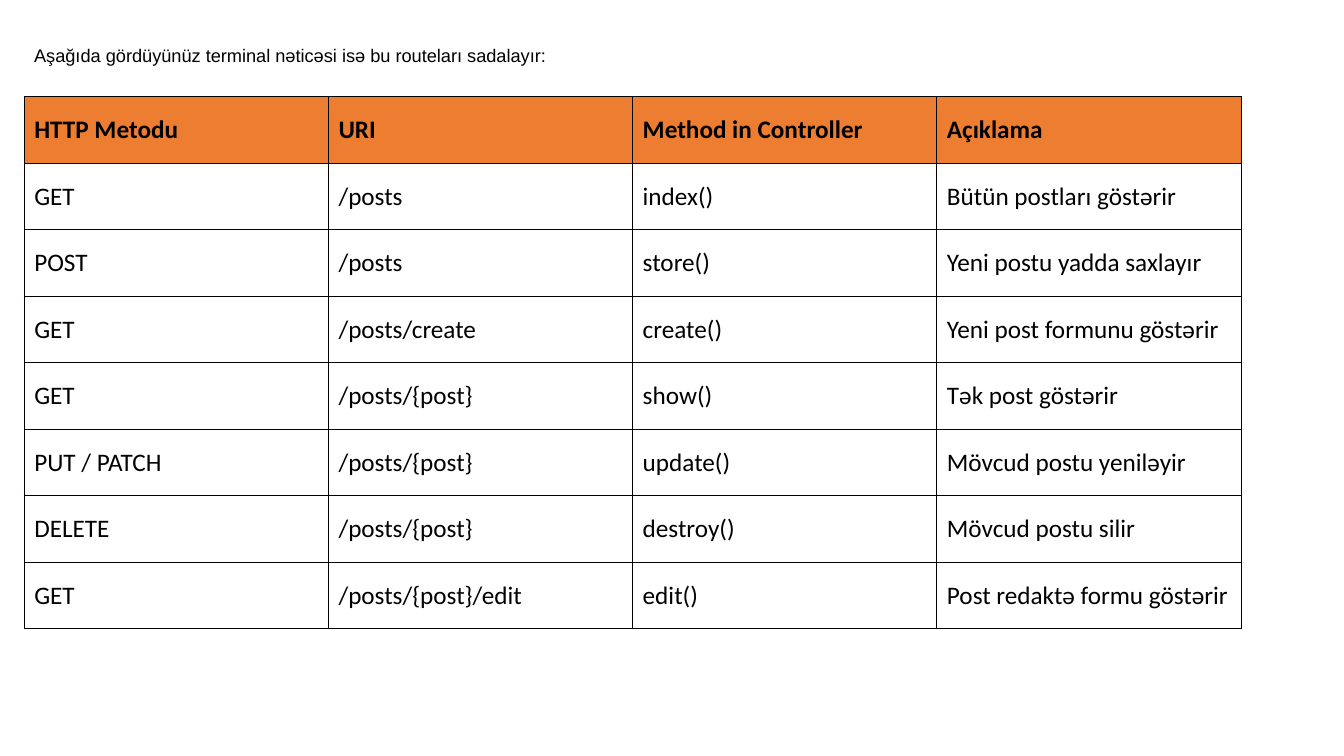
from lxml import etree
from pptx import Presentation
from pptx.dml.color import RGBColor
from pptx.enum.text import MSO_ANCHOR, MSO_AUTO_SIZE
from pptx.oxml.ns import qn
from pptx.util import Inches, Pt

MIDDLE = MSO_ANCHOR.MIDDLE
GROW = MSO_AUTO_SIZE.SHAPE_TO_FIT_TEXT

COLORS = {"ink": "000000", "head": "ED7D31"}
INTRO = {"name": "Arial", "size": Pt(13), "bold": False}
HEAD = {"name": "Calibri", "size": Pt(18), "bold": True}
BODY = {**HEAD, "bold": False}

ROUTES = [
    ("HTTP Metodu", "URI", "Method in Controller", "Açıklama"),
    ("GET", "/posts", "index()", "Bütün postları göstərir"),
    ("POST", "/posts", "store()", "Yeni postu yadda saxlayır"),
    ("GET", "/posts/create", "create()", "Yeni post formunu göstərir"),
    ("GET", "/posts/{post}", "show()", "Tək post göstərir"),
    ("PUT / PATCH", "/posts/{post}", "update()", "Mövcud postu yeniləyir"),
    ("DELETE", "/posts/{post}", "destroy()", "Mövcud postu silir"),
    ("GET", "/posts/{post}/edit", "edit()", "Post redaktə formu göstərir"),
]


class Deck:
    def __init__(self, colors):
        self.colors = colors
        self.file = Presentation()
        self.file.slide_width = Inches(13.33)
        self.file.slide_height = Inches(7.5)
        self.slide = self.file.slides.add_slide(self.file.slide_layouts[6])

    def style(self, para, form):
        for key, value in form.items():
            setattr(para.font, key, value)
        para.font.color.rgb = RGBColor.from_string(self.colors["ink"])

    def text(self, words, left, top, width, height, form):
        box = self.slide.shapes.add_textbox(
            Inches(left), Inches(top), Inches(width), Inches(height))
        frame = box.text_frame
        frame.word_wrap = True
        frame.auto_size = GROW
        para = frame.paragraphs[0]
        para.text = words
        para.line_spacing = 1.5
        self.style(para, form)

    def border(self, cell):
        props = cell._tc.get_or_add_tcPr()
        for index, side in enumerate(("lnL", "lnR", "lnT", "lnB")):
            line = etree.Element(qn(f"a:{side}"), w=str(Pt(1)))
            fill = etree.SubElement(line, qn("a:solidFill"))
            etree.SubElement(fill, qn("a:srgbClr"), val=self.colors["ink"])
            props.insert(index, line)

    def table(self, rows, left, top, width, height):
        grid = self.slide.shapes.add_table(
            len(rows), len(rows[0]),
            Inches(left), Inches(top), Inches(width), Inches(height)).table
        grid.horz_banding = False
        for r, row in enumerate(rows):
            for c, words in enumerate(row):
                cell = grid.cell(r, c)
                cell.text = words
                cell.vertical_anchor = MIDDLE
                if r == 0:
                    cell.fill.solid()
                    cell.fill.fore_color.rgb = RGBColor.from_string(self.colors["head"])
                else:
                    cell.fill.background()
                self.border(cell)
                self.style(cell.text_frame.paragraphs[0], BODY if r else HEAD)


def main():
    deck = Deck(COLORS)
    deck.text("Aşağıda gördüyünüz terminal nəticəsi isə bu routeları sadalayır:",
              0.24, 0.28, 12.86, 0.39, INTRO)
    deck.table(ROUTES, 0.24, 0.96, 12.07, 5.28)
    deck.file.save("out.pptx")


if __name__ == "__main__":
    main()
